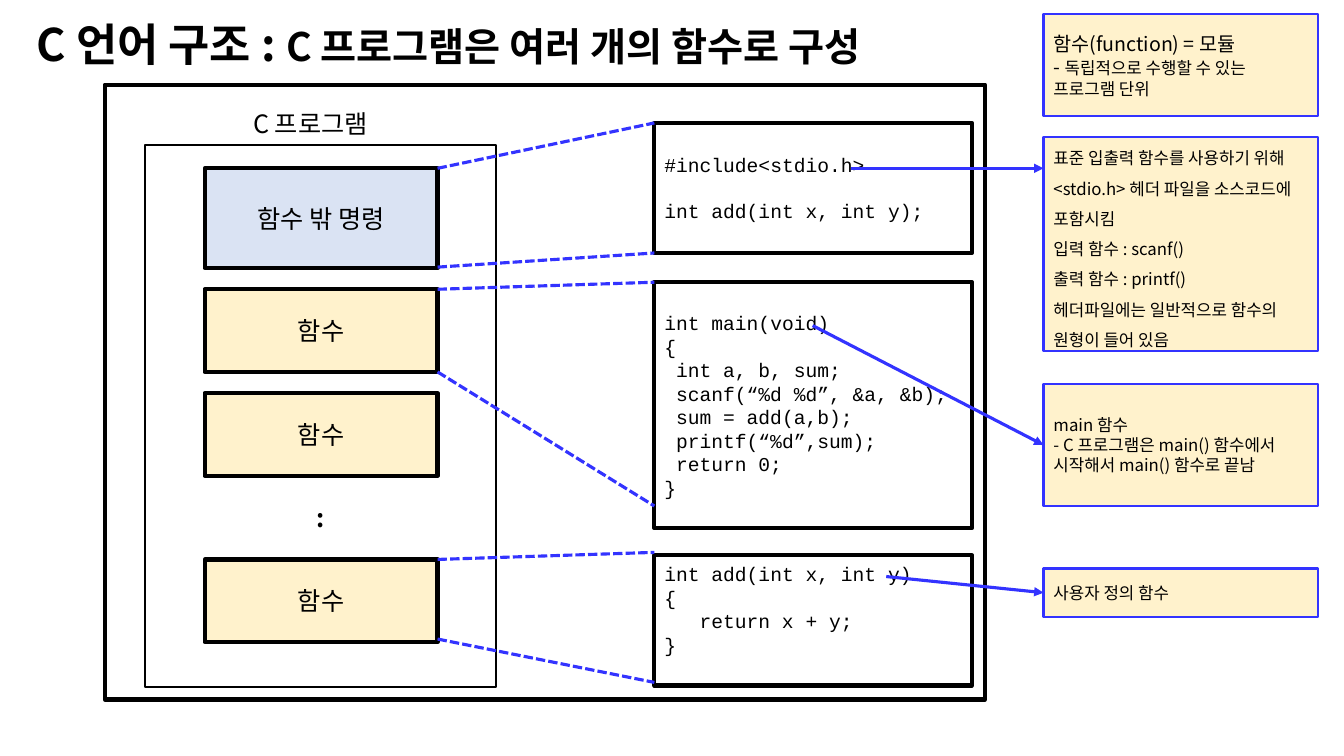
from pptx import Presentation
from pptx.dml.color import RGBColor
from pptx.enum.dml import MSO_LINE
from pptx.enum.shapes import MSO_CONNECTOR, MSO_SHAPE
from pptx.enum.text import MSO_ANCHOR, PP_ALIGN
from pptx.oxml.ns import qn
from pptx.util import Inches, Pt
from lxml.etree import SubElement

# Content: a paragraph is a list of (text, size) spans
TITLE = [(" C 언어 구조 : ", 32), ("C 프로그램은 여러 개의 함수로 구성", 28)]
LABELS = [  # text, left, top, width, bold
    ("C 프로그램", 2.33, 1.03, 1.5, False),
    (":", 3.04, 4.93, 0.27, True),
]
BLOCKS = [  # text, top, height, fill
    ("함수 밖 명령", 1.67, 0.99, "blue"),
    ("함수", 2.87, 0.82, "cream"),
    ("함수", 3.9, 0.82, "cream"),
    ("함수", 5.55, 0.82, "cream"),
]
CODES = [  # lines, top, height, gap between lines (pt), bottom inset
    (["#include<stdio.h>", "int add(int x, int y);"], 1.22, 1.29, 16, 0.05),
    (["int main(void)", "{", " int a, b, sum;", " scanf(“%d %d”, &a, &b);",
      " sum = add(a,b);", " printf(“%d”,sum);", " return 0;", "}"], 2.8, 2.44, 0, 0.05),
    (["int add(int x, int y)", "{", "   return x + y;", "}"], 5.51, 1.29, 0, 0.27),
]
NOTES = [  # paragraphs, top, height, line spacing
    ([[("함수(function) = 모듈", 14)],
      [("- ", 14), ("독립적으로 수행할 수 있는 프로그램 단위", 12)]], 0.14, 1.01, 1),
    ([[("표준 입출력 함수를 사용하기 위해 <stdio.h> 헤더 파일을 소스코드에 포함시킴", 12)],
      [("입력 함수 : scanf()", 12)],
      [("출력 함수 : printf()", 12)],
      [("헤더파일에는 일반적으로 함수의 원형이 들어 있음", 12)]], 1.36, 2.12, 1.5),
    ([[("main 함수", 12)],
      [("- C 프로그램은 main() 함수에서 시작해서 main() 함수로 끝남", 12)]], 3.81, 1.21, 1),
    ([[("사용자 정의 함수", 12)]], 5.64, 0.48, 1),
]
ZOOMS = [  # height at the block, height at the code
    (1.67, 1.22), (2.65, 2.51), (2.87, 2.8), (3.69, 5.02), (5.55, 5.48), (6.34, 6.77),
]
ARROWS = [  # start x, start y, note, end y (None: middle of the note's side)
    (8.44, 1.67, 1, 1.67), (8.06, 3.23, 2, None), (8.79, 5.72, 3, None),
]

# Style and columns (left, width)
COLORS = {"black": "000000", "blue": "DAE3F3", "cream": "FFF2CC", "accent": "3333FF"}
KOREAN, TITLE_FONT, MONO = "Noto Sans CJK KR", "Noto Sans CJK TC", "Courier New"
BLOCK_COLUMN, CODE_COLUMN, NOTE_COLUMN = (2.03, 2.31), (6.49, 3.15), (10.35, 2.72)
CODE_SIZE = 14
CODE_CHARACTER = 0.6 * CODE_SIZE

deck = Presentation()
deck.slide_width, deck.slide_height = Inches(13.33), Inches(7.5)
page = deck.slides.add_slide(deck.slide_layouts[5])


def color(name):
    return RGBColor.from_string(COLORS[name])


def write(frame, paragraphs, font, align=PP_ALIGN.LEFT, bold=False, spacing=1):
    for index, spans in enumerate(paragraphs):
        para = frame.paragraphs[0] if index == 0 else frame.add_paragraph()
        para.alignment, para.line_spacing = align, spacing
        for text, size in spans:
            span = para.add_run()
            span.text = text
            span.font.size, span.font.bold, span.font.name = Pt(size), bold, font
            span.font.color.rgb = color("black")
            SubElement(span.font._element, qn("a:ea"), typeface=font)


def add_box(left, top, width, height, line, weight, fill=None):
    box = page.shapes.add_shape(MSO_SHAPE.RECTANGLE, Inches(left), Inches(top),
                                Inches(width), Inches(height))
    box.shadow.inherit = False
    if fill:
        box.fill.solid()
        box.fill.fore_color.rgb = color(fill)
    else:
        box.fill.background()
    box.line.color.rgb, box.line.width = color(line), Pt(weight)
    box.text_frame.word_wrap = True
    box.text_frame.vertical_anchor = MSO_ANCHOR.MIDDLE
    return box


def add_line(x1, y1, x2, y2):
    line = page.shapes.add_connector(MSO_CONNECTOR.STRAIGHT, Inches(x1), Inches(y1),
                                     Inches(x2), Inches(y2))
    line.line.color.rgb, line.line.width = color("accent"), Pt(2.25)
    SubElement(line._element.spPr, qn("a:effectLst"))
    return line


# Title
title = page.shapes.title
title.left, title.top, title.width, title.height = map(Inches, (0.16, 0.1, 9.22, 0.74))
title.text_frame.vertical_anchor = MSO_ANCHOR.MIDDLE
title.text_frame.word_wrap = True
write(title.text_frame, [TITLE], TITLE_FONT, bold=True, spacing=0.9)

# Frames and labels
add_box(1.44, 1.44, 3.48, 5.38, "black", 1.5)
add_box(1.04, 0.84, 8.73, 6.1, "black", 3)
for text, left, top, width, bold in LABELS:
    label = page.shapes.add_textbox(Inches(left), Inches(top), Inches(width), Inches(0.4))
    label.text_frame.word_wrap = False
    write(label.text_frame, [[(text, 18)]], KOREAN, PP_ALIGN.CENTER, bold)

# Program blocks
block_left, block_width = BLOCK_COLUMN
for text, top, height, fill in BLOCKS:
    block = add_box(block_left, top, block_width, height, "black", 3, fill)
    write(block.text_frame, [[(text, 18)]], KOREAN, PP_ALIGN.CENTER)

# Code boxes: leading spaces become a left margin
code_left, code_width = CODE_COLUMN
for lines, top, height, gap, inset in CODES:
    code = add_box(code_left, top, code_width, height, "black", 3)
    code.text_frame.margin_bottom = Inches(inset)
    write(code.text_frame, [[(line.lstrip(), CODE_SIZE)] for line in lines], MONO)
    for index, (line, para) in enumerate(zip(lines, code.text_frame.paragraphs)):
        depth = len(line) - len(line.lstrip())
        properties = para._p.get_or_add_pPr()
        properties.set("marL", str(int(Pt(depth * CODE_CHARACTER))))
        properties.set("indent", "0")
        para.space_before = Pt(gap if index else 0)

# Notes
note_left, note_width = NOTE_COLUMN
notes = []
for paragraphs, top, height, spacing in NOTES:
    note = add_box(note_left, top, note_width, height, "accent", 1.5, "cream")
    write(note.text_frame, paragraphs, KOREAN, spacing=spacing)
    notes.append(note)

# Dashed lines from blocks to code
for block_y, code_y in ZOOMS:
    zoom = add_line(block_left + block_width, block_y, code_left, code_y)
    zoom.line.dash_style = MSO_LINE.SQUARE_DOT

# Arrows from code to notes
for x, y, index, end_y in ARROWS:
    arrow = add_line(x, y, note_left, end_y or y)
    if end_y is None:
        arrow.end_connect(notes[index], 1)
    SubElement(arrow.line._get_or_add_ln(), qn("a:tailEnd"), type="triangle")

deck.save("out.pptx")
